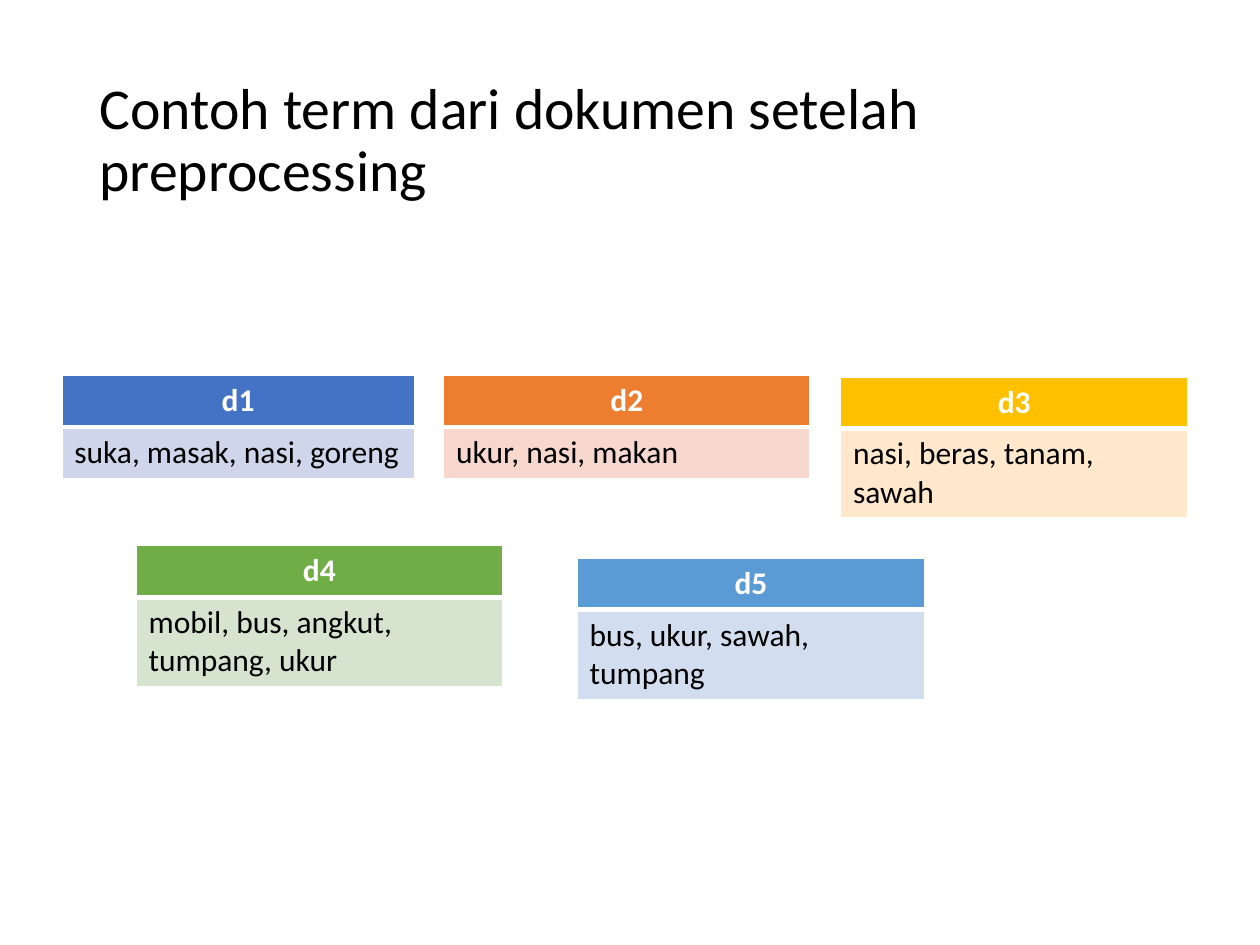
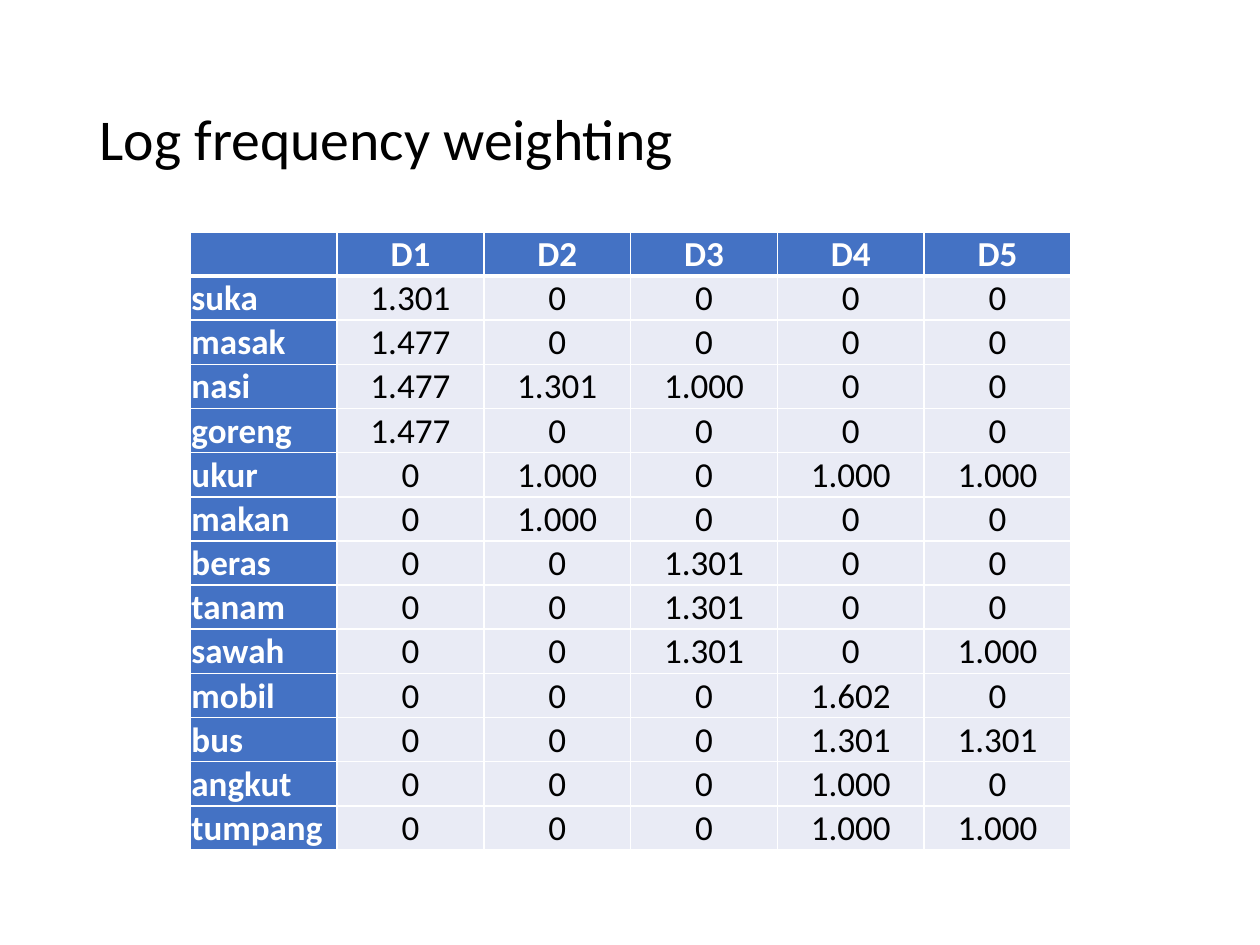
from lxml import etree
from pptx import Presentation
from pptx.dml.color import RGBColor
from pptx.enum.text import MSO_ANCHOR, MSO_AUTO_SIZE, PP_ALIGN
from pptx.oxml.ns import qn
from pptx.util import Inches, Pt

LEFT, CENTER = PP_ALIGN.LEFT, PP_ALIGN.CENTER
TOP, MIDDLE, BOTTOM = MSO_ANCHOR.TOP, MSO_ANCHOR.MIDDLE, MSO_ANCHOR.BOTTOM
NO_FIT = MSO_AUTO_SIZE.NONE

FONT = "Calibri"
WHITE, BLACK, BLUE, PALE = "FFFFFF", "000000", "4472C4", "E9EBF5"
TITLE_BOX = (0.69, 0.4, 8.62, 1.45)

TERMS_TITLE = "Contoh term dari dokumen setelah preprocessing"
DOCUMENTS = [
    ("d1", "suka, masak, nasi, goreng", 1, (0.49, 2.98), 2.8, BLUE, "CFD5EA"),
    ("d2", "ukur, nasi, makan", 1, (3.52, 2.98), 2.91, "ED7D31", "F8D7CE"),
    ("d3", "nasi, beras, tanam, sawah", 2, (6.67, 2.99), 2.76, "FFC000", "FFE8CC"),
    ("d4", "mobil, bus, angkut, tumpang, ukur", 2, (1.08, 4.33), 2.91, "70AD47", "D5E3CF"),
    ("d5", "bus, ukur, sawah, tumpang", 2, (4.58, 4.43), 2.76, "5B9BD5", "D2DEEF"),
]
HEAD_H, LINE_H = 0.41, 0.29

WEIGHTS_TITLE = "Log frequency weighting"
COLUMNS = ["D1", "D2", "D3", "D4", "D5"]
WEIGHTS = {
    "suka": {"D1": "1.301"},
    "masak": {"D1": "1.477"},
    "nasi": {"D1": "1.477", "D2": "1.301", "D3": "1.000"},
    "goreng": {"D1": "1.477"},
    "ukur": {"D2": "1.000", "D4": "1.000", "D5": "1.000"},
    "makan": {"D2": "1.000"},
    "beras": {"D3": "1.301"},
    "tanam": {"D3": "1.301"},
    "sawah": {"D3": "1.301", "D5": "1.000"},
    "mobil": {"D4": "1.602"},
    "bus": {"D4": "1.301", "D5": "1.301"},
    "angkut": {"D4": "1.000"},
    "tumpang": {"D4": "1.000", "D5": "1.000"},
}
WEIGHTS_AT, COL_W, ROW_H = (1.51, 1.84), 1.165, 0.35


def rgb(value):
    return RGBColor.from_string(value)


def write(tf, text, size=18, color=BLACK, bold=False, align=LEFT, spacing=None):
    p = tf.paragraphs[0]
    p.alignment = align
    p.line_spacing = spacing
    if text:
        r = p.add_run()
        r.text = text
        r.font.name, r.font.size, r.font.bold = FONT, Pt(size), bold
        r.font.color.rgb = rgb(color)


def add_slide(prs, title):
    s = prs.slides.add_slide(prs.slide_layouts[5])
    sp = s.shapes.title
    sp.left, sp.top, sp.width, sp.height = map(Inches, TITLE_BOX)
    tf = sp.text_frame
    tf.word_wrap, tf.auto_size, tf.vertical_anchor = True, NO_FIT, MIDDLE
    write(tf, title, size=33, spacing=0.9)
    return s


def set_borders(cell, top, bottom):
    tc_pr = cell._tc.get_or_add_tcPr()
    for side, width in (("L", 1), ("R", 1), ("T", top), ("B", bottom)):
        ln = etree.SubElement(tc_pr, qn(f"a:ln{side}"), w=str(Pt(width)))
        fill = etree.SubElement(ln, qn("a:solidFill"))
        etree.SubElement(fill, qn("a:srgbClr"), val=WHITE)


def add_grid(s, at, col_w, row_hs, rows, head, body, size,
             anchor=TOP, margins=None, body_align=LEFT, head_col=False):
    shape = s.shapes.add_table(len(rows), len(rows[0]), *map(Inches, at),
                               Inches(col_w * len(rows[0])), Inches(sum(row_hs)))
    table = shape.table
    for col in table.columns:
        col.width = Inches(col_w)
    for i, row in enumerate(rows):
        table.rows[i].height = Inches(row_hs[i])
        for j, text in enumerate(row):
            cell = table.cell(i, j)
            side = head_col and j == 0
            heading = i == 0 or side
            set_borders(cell, 3 if i == 1 else 1, 3 if i == 0 else 1)
            cell.fill.solid()
            cell.fill.fore_color.rgb = rgb(head if heading else body)
            cell.vertical_anchor = anchor
            if margins:
                (cell.margin_left, cell.margin_top,
                 cell.margin_right, cell.margin_bottom) = map(Inches, margins)
            align = CENTER if i == 0 else LEFT if side else body_align
            write(cell.text_frame, text, size=size, bold=heading, align=align,
                  color=WHITE if heading else BLACK)


def main():
    prs = Presentation()
    prs.slide_width, prs.slide_height = Inches(10), Inches(7.5)

    s = add_slide(prs, TERMS_TITLE)
    for name, terms, lines, at, width, head, body in DOCUMENTS:
        heights = [HEAD_H, HEAD_H + LINE_H * (lines - 1)]
        add_grid(s, at, width, heights, [[name], [terms]], head, body, size=18)

    s = add_slide(prs, WEIGHTS_TITLE)
    rows = [[""] + COLUMNS]
    rows += [[term] + [found.get(c, "0") for c in COLUMNS] for term, found in WEIGHTS.items()]
    add_grid(s, WEIGHTS_AT, COL_W, [ROW_H] * len(rows), rows, BLUE, PALE, size=20,
             anchor=BOTTOM, margins=(0.01, 0.01, 0.01, 0), body_align=CENTER, head_col=True)

    prs.save("out.pptx")


if __name__ == "__main__":
    main()
